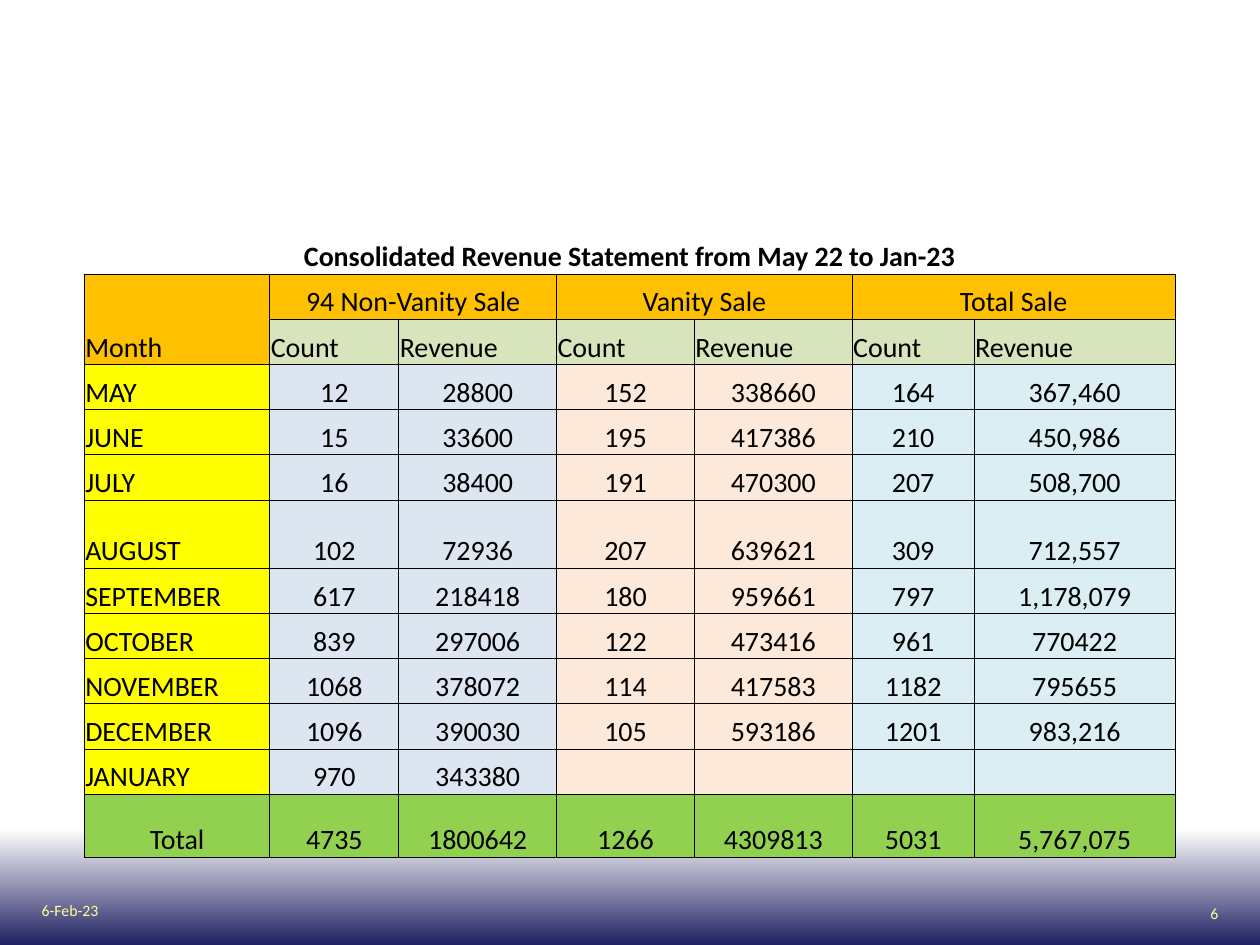
from lxml import etree
from pptx import Presentation
from pptx import util as u
from pptx.dml.color import RGBColor
from pptx.enum import shapes, text
from pptx.oxml import ns

Cm, Pt = u.Cm, u.Pt
BLACK = RGBColor(0, 0, 0)
WHITE = RGBColor(0xFF, 0xFF, 0xFF)
NAVY = RGBColor(0x20, 0x20, 0x62)
CREAM = RGBColor(0xFF, 0xFF, 0x99)
ORANGE = RGBColor(0xFF, 0xC0, 0x00)
OLIVE = RGBColor(0xD8, 0xE4, 0xBC)
YELLOW = RGBColor(0xFF, 0xFF, 0x00)
BLUE = RGBColor(0xDC, 0xE6, 0xF1)
PEACH = RGBColor(0xFD, 0xE9, 0xD9)
AQUA = RGBColor(0xDA, 0xEE, 0xF3)
GREEN = RGBColor(0x92, 0xD0, 0x50)

LEFT, MID, RIGHT = (text.PP_ALIGN.LEFT, text.PP_ALIGN.CENTER,
                    text.PP_ALIGN.RIGHT)

TITLE = "Consolidated Revenue Statement from May 22 to Jan-23"
GROUPS = ["94 Non-Vanity Sale", "Vanity Sale", "Total Sale"]
MONTHS = [
    ("MAY", "12", "28800", "152", "338660", "164", "367,460"),
    ("JUNE", "15", "33600", "195", "417386", "210", "450,986"),
    ("JULY", "16", "38400", "191", "470300", "207", "508,700"),
    ("AUGUST", "102", "72936", "207", "639621", "309", "712,557"),
    ("SEPTEMBER", "617", "218418", "180", "959661", "797", "1,178,079"),
    ("OCTOBER", "839", "297006", "122", "473416", "961", "770422"),
    ("NOVEMBER", "1068", "378072", "114", "417583", "1182", "795655"),
    ("DECEMBER", "1096", "390030", "105", "593186", "1201", "983,216"),
    ("JANUARY", "970", "343380", "", "", "", ""),
]
TOTAL = ("Total", "4735", "1800642", "1266", "4309813", "5031", "5,767,075")
WIDTHS = [3.74, 2.6, 3.18, 2.78, 3.18, 2.46, 4.05]
ROW = 0.91
HEIGHTS = [1.8] + [ROW] * 5 + [1.38] + [ROW] * 5 + [1.27]


class Deck:
    font = "Calibri"

    def __init__(self, wide, high):
        self.prs = Presentation()
        self.prs.slide_width, self.prs.slide_height = Cm(wide), Cm(high)
        self.slide = self.prs.slides.add_slide(self.prs.slide_layouts[6])

    def words(self, frame, words, size, color, align, bold=False):
        frame.text = words
        para = frame.paragraphs[0]
        para.alignment = align
        for run in para.runs:
            font = run.font
            font.name, font.size, font.bold = self.font, Pt(size), bold
            font.color.rgb = color

    def band(self, x, y, w, h, top, low):
        box = self.slide.shapes.add_shape(
            shapes.MSO_SHAPE.RECTANGLE, Cm(x), Cm(y), Cm(w), Cm(h))
        box.shadow.inherit = False
        box.line.fill.background()
        box.fill.gradient()
        box.fill.gradient_angle = 270
        for stop, color, pos in zip(box.fill.gradient_stops, (top, low), (0, 1)):
            stop.color.rgb = color
            stop.position = pos

    def label(self, x, y, w, h, words, align):
        frame = self.slide.shapes.add_textbox(
            Cm(x), Cm(y), Cm(w), Cm(h)).text_frame
        frame.margin_left = frame.margin_right = 0
        frame.margin_top = frame.margin_bottom = 0
        frame.word_wrap = False
        self.words(frame, words, 9, CREAM, align)

    def grid(self, x, y, widths, heights):
        table = self.slide.shapes.add_table(
            len(heights), len(widths), Cm(x), Cm(y),
            Cm(sum(widths)), Cm(sum(heights))).table
        table.first_row = table.horz_banding = False
        for col, wide in zip(table.columns, widths):
            col.width = Cm(wide)
        for row, high in zip(table.rows, heights):
            row.height = Cm(high)
        return table

    def edge(self, cell, sides):
        props = cell._tc.get_or_add_tcPr()
        for side in "LRTB":
            line = etree.SubElement(props, ns.qn("a:ln" + side), w=str(Pt(0.5)))
            if side in sides:
                fill = etree.SubElement(line, ns.qn("a:solidFill"))
                etree.SubElement(fill, ns.qn("a:srgbClr"), val=str(BLACK))
            else:
                etree.SubElement(line, ns.qn("a:noFill"))

    def cell(self, cell, words, fill=None, align=MID, bold=False, sides="LRTB"):
        self.edge(cell, sides)
        if fill is None:
            cell.fill.background()
        else:
            cell.fill.solid()
            cell.fill.fore_color.rgb = fill
        cell.margin_left = cell.margin_right = cell.margin_top = Cm(0.02)
        cell.margin_bottom = 0
        cell.vertical_anchor = text.MSO_ANCHOR.BOTTOM
        self.words(cell.text_frame, words, 16, BLACK, align, bold)


def main():
    deck = Deck(25.4, 19.05)

    # Footer band, page number and date
    deck.band(0, 16.71, 25.4, 2.34, WHITE, NAVY)
    deck.label(23.29, 18.21, 1.27, 0.25, "6", RIGHT)
    deck.label(0.84, 18.16, 3.38, 0.25, "6-Feb-23", LEFT)

    # Title row
    table = deck.grid(1.7, 3.73, WIDTHS, HEIGHTS)
    last = len(WIDTHS) - 1
    for col in range(last + 1):
        deck.cell(table.cell(0, col), "" if col else TITLE, bold=True, sides="B")
    table.cell(0, 0).merge(table.cell(0, last))

    # Header rows
    for row, words in enumerate(("Month", ""), 1):
        deck.cell(table.cell(row, 0), words, ORANGE, LEFT)
    table.cell(1, 0).merge(table.cell(2, 0))
    for i, group in enumerate(GROUPS):
        col = 1 + 2 * i
        for j, name in enumerate(("Count", "Revenue")):
            deck.cell(table.cell(1, col + j), "" if j else group, ORANGE)
            deck.cell(table.cell(2, col + j), name, OLIVE, LEFT)
        table.cell(1, col).merge(table.cell(1, col + 1))

    # Months and total
    tints = [YELLOW, BLUE, BLUE, PEACH, PEACH, AQUA, AQUA]
    for row, month in enumerate(MONTHS, 3):
        for col, words in enumerate(month):
            deck.cell(table.cell(row, col), words, tints[col],
                      MID if col else LEFT)
    for col, words in enumerate(TOTAL):
        deck.cell(table.cell(len(HEIGHTS) - 1, col), words, GREEN)

    deck.prs.save("out.pptx")


if __name__ == "__main__":
    main()
